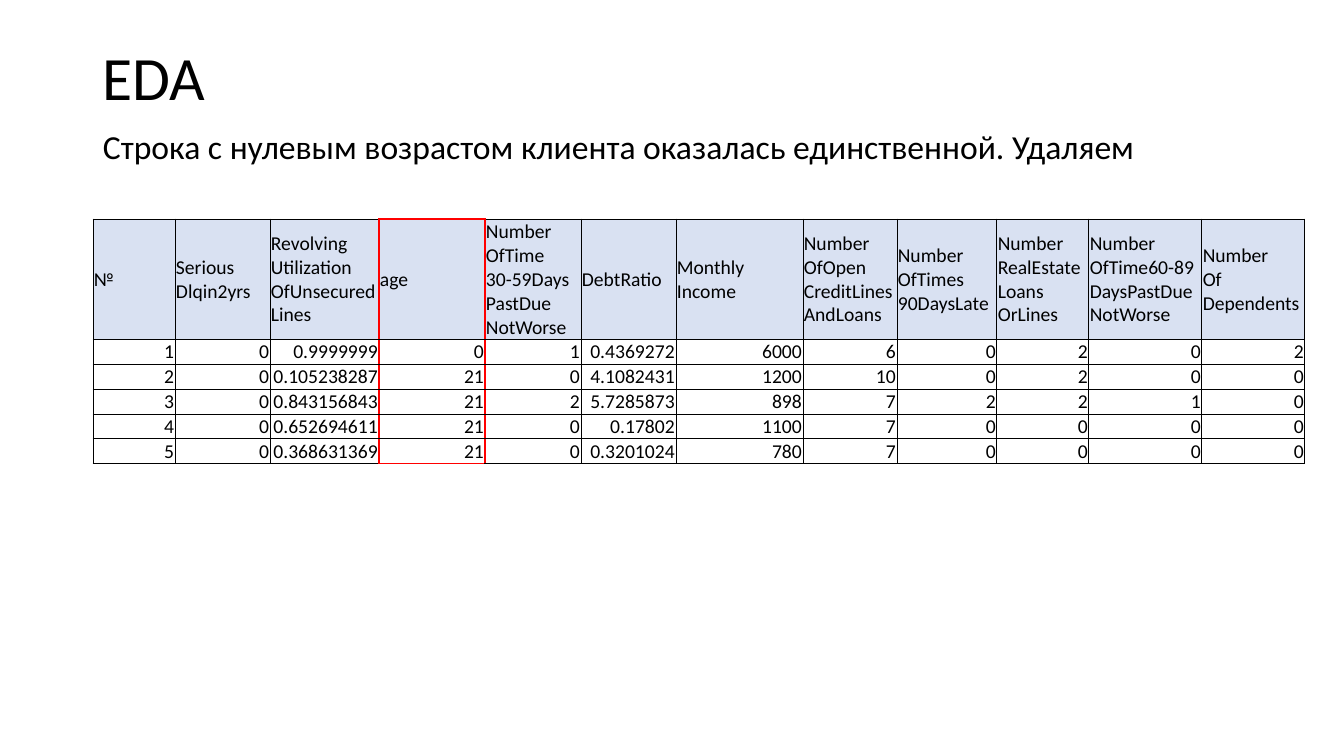
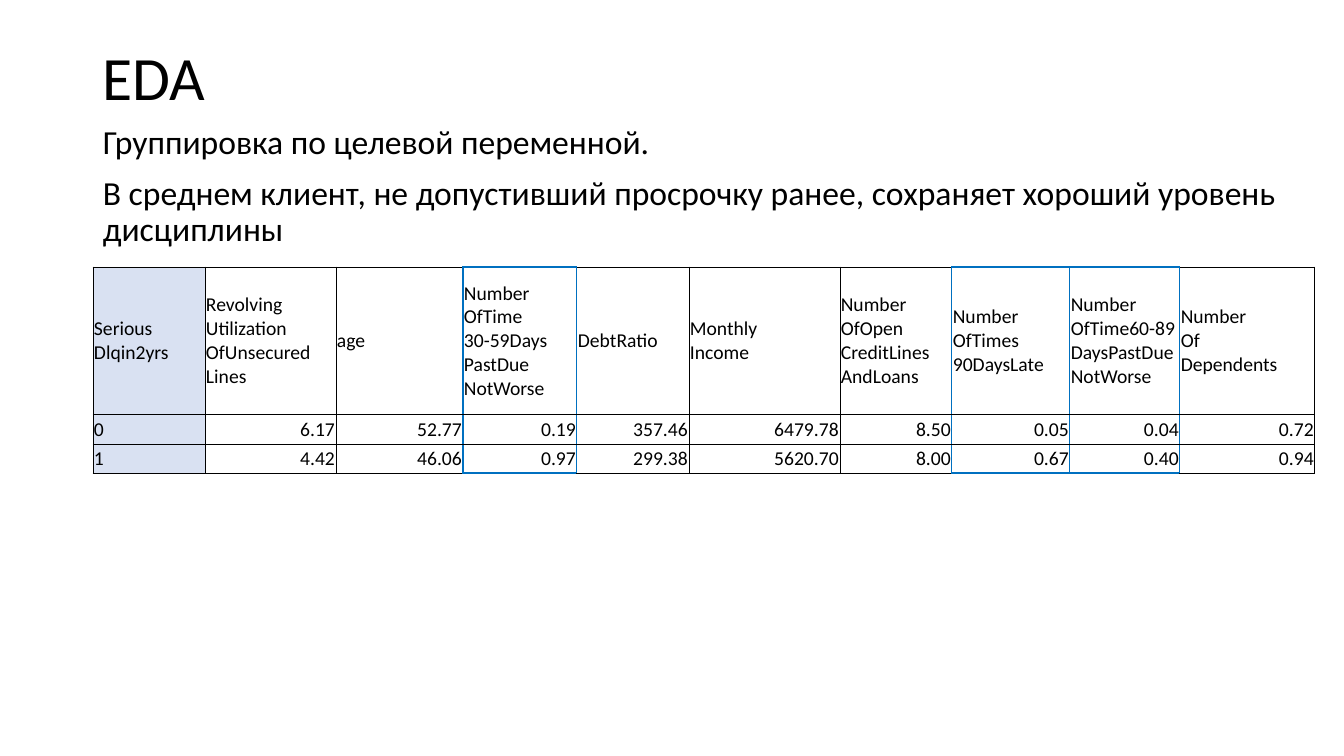
from copy import deepcopy

from lxml.etree import SubElement
from pptx import Presentation
from pptx.dml.color import RGBColor
from pptx.enum.text import MSO_ANCHOR as Anchor, PP_ALIGN as Align
from pptx.oxml.ns import qn
from pptx.util import Pt

PIXEL = 914400 / 100.8
FONT = "Calibri"
BLACK = RGBColor(0x00, 0x00, 0x00)
RED = RGBColor(0xFF, 0x00, 0x00)
BLUE = RGBColor(0x00, 0x70, 0xC0)
PALE_BLUE = RGBColor(0xD9, 0xE1, 0xF2)
LEFT = 93

HEADERS = [
    "№",
    "Serious\nDlqin2yrs",
    "Revolving\nUtilization\nOfUnsecured\nLines",
    "age",
    "Number\nOfTime\n30-59Days\nPastDue\nNotWorse",
    "DebtRatio",
    "Monthly\nIncome",
    "Number\nOfOpen\nCreditLines\nAndLoans",
    "Number\nOfTimes\n90DaysLate",
    "Number\nRealEstate\nLoans\nOrLines",
    "Number\nOfTime60-89\nDaysPastDue\nNotWorse",
    "Number\nOf\nDependents",
]

SLIDES = [
    {
        "body": ["Строка с нулевым возрастом клиента оказалась единственной. Удаляем"],
        "body_box": (LEFT, 125, 1159, 480),
        "table_top": 219,
        "widths": [82, 95, 109, 106, 96, 95, 127, 94, 100, 92, 113, 103],
        "heights": [120] + [25] * 5,
        "rows": [
            HEADERS,
            ["1", "0", "0.9999999", "0", "1", "0.4369272", "6000", "6", "0", "2", "0", "2"],
            ["2", "0", "0.105238287", "21", "0", "4.1082431", "1200", "10", "0", "2", "0", "0"],
            ["3", "0", "0.843156843", "21", "2", "5.7285873", "898", "7", "2", "2", "1", "0"],
            ["4", "0", "0.652694611", "21", "0", "0.17802", "1100", "7", "0", "0", "0", "0"],
            ["5", "0", "0.368631369", "21", "0", "0.3201024", "780", "7", "0", "0", "0", "0"],
        ],
        "shaded": "row",
        "marked": {3},
        "mark_color": RED,
        "value_anchor": Anchor.BOTTOM,
    },
    {
        "body": [
            "Группировка по целевой переменной.",
            "В среднем клиент, не допустивший просрочку ранее, "
            "сохраняет хороший уровень дисциплины",
        ],
        "body_box": (LEFT, 121, 1223, 547),
        "table_top": 267,
        "widths": [112, 131, 127, 114, 112, 151, 112, 118, 110, 135],
        "heights": [147, 30, 29],
        "rows": [
            HEADERS[1:9] + HEADERS[10:],
            ["0", "6.17", "52.77", "0.19", "357.46", "6479.78", "8.50", "0.05", "0.04", "0.72"],
            ["1", "4.42", "46.06", "0.97", "299.38", "5620.70", "8.00", "0.67", "0.40", "0.94"],
        ],
        "shaded": "column",
        "marked": {3, 7, 8},
        "mark_color": BLUE,
        "value_anchor": Anchor.MIDDLE,
    },
]


def write_text(frame, *texts, size, align=Align.LEFT, line_spacing=1.0, space_before=0):
    frame.word_wrap = True
    for index, text in enumerate(texts):
        paragraph = frame.add_paragraph() if index else frame.paragraphs[0]
        paragraph.text = text
        paragraph.alignment = align
        paragraph.line_spacing = line_spacing
        paragraph.space_before = Pt(space_before)
        for run in paragraph.runs:
            run.font.name = FONT
            run.font.size = Pt(size)
            run.font.color.rgb = BLACK
        for line_break in paragraph._p.findall(qn("a:br")):
            line_break.append(deepcopy(paragraph.runs[0]._r.rPr))


def add_border(cell, side, color, width):
    line = SubElement(cell._tc.get_or_add_tcPr(), qn(f"a:ln{side}"), w=str(Pt(width)))
    fill = SubElement(line, qn("a:solidFill"))
    SubElement(fill, qn("a:srgbClr"), val=str(color))


presentation = Presentation()
presentation.slide_width = round(1344 * PIXEL)
presentation.slide_height = round(756 * PIXEL)

for content in SLIDES:
    slide = presentation.slides.add_slide(presentation.slide_layouts[6])

    title = slide.shapes.add_textbox(*(round(v * PIXEL) for v in (LEFT, 8, 1159, 146)))
    title.text_frame.vertical_anchor = Anchor.MIDDLE
    write_text(title.text_frame, "EDA", size=44, line_spacing=0.9)

    body = slide.shapes.add_textbox(*(round(v * PIXEL) for v in content["body_box"]))
    write_text(body.text_frame, *content["body"], size=24, line_spacing=0.9, space_before=10)

    rows, widths, heights = content["rows"], content["widths"], content["heights"]
    box = (LEFT, content["table_top"], sum(widths), sum(heights))
    table = slide.shapes.add_table(
        len(rows), len(widths), *(round(v * PIXEL) for v in box)
    ).table
    table.first_row = table.horz_banding = False
    for column, width in zip(table.columns, widths):
        column.width = round(width * PIXEL)
    for row, height in zip(table.rows, heights):
        row.height = round(height * PIXEL)

    marked = content["marked"]
    shaded_row = content["shaded"] == "row"
    for r, values in enumerate(rows):
        for c, text in enumerate(values):
            cell = table.cell(r, c)
            cell.margin_left = cell.margin_right = cell.margin_top = round(PIXEL)
            cell.margin_bottom = 0
            is_label = r == 0 or (c == 0 and not shaded_row)
            is_middle = r == 0 or c == 0
            cell.vertical_anchor = Anchor.MIDDLE if is_middle else content["value_anchor"]
            write_text(cell.text_frame, text, size=14,
                       align=Align.LEFT if is_label else Align.RIGHT)
            is_marked = {
                "L": bool({c - 1, c} & marked),
                "R": bool({c, c + 1} & marked),
                "T": c in marked and r == 0,
                "B": c in marked and r == len(rows) - 1,
            }
            for side, mark in is_marked.items():
                add_border(cell, side, content["mark_color"] if mark else BLACK,
                           1 if mark else 0.5)
            if (r if shaded_row else c) == 0:
                cell.fill.solid()
                cell.fill.fore_color.rgb = PALE_BLUE
            else:
                cell.fill.background()

presentation.save("out.pptx")
